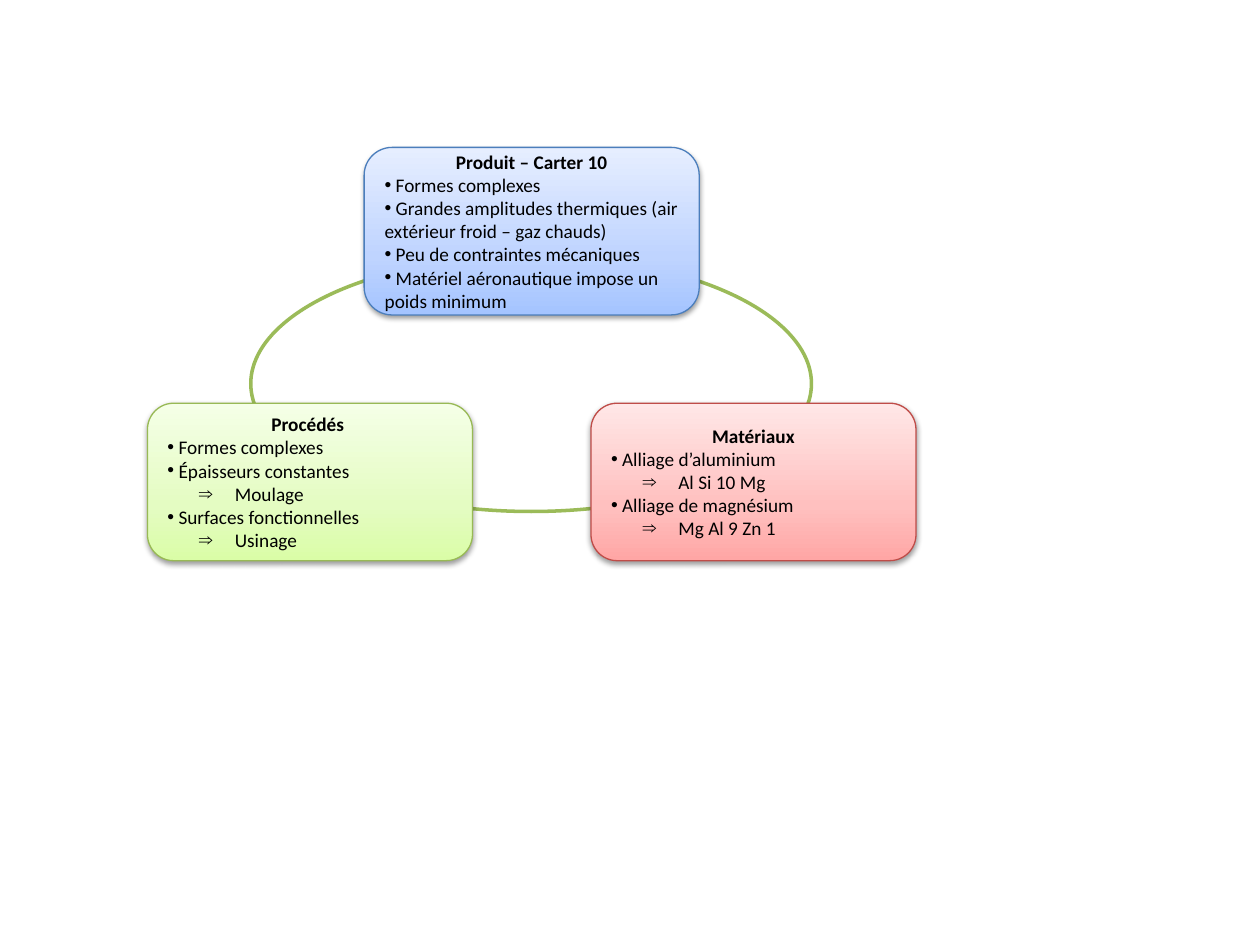
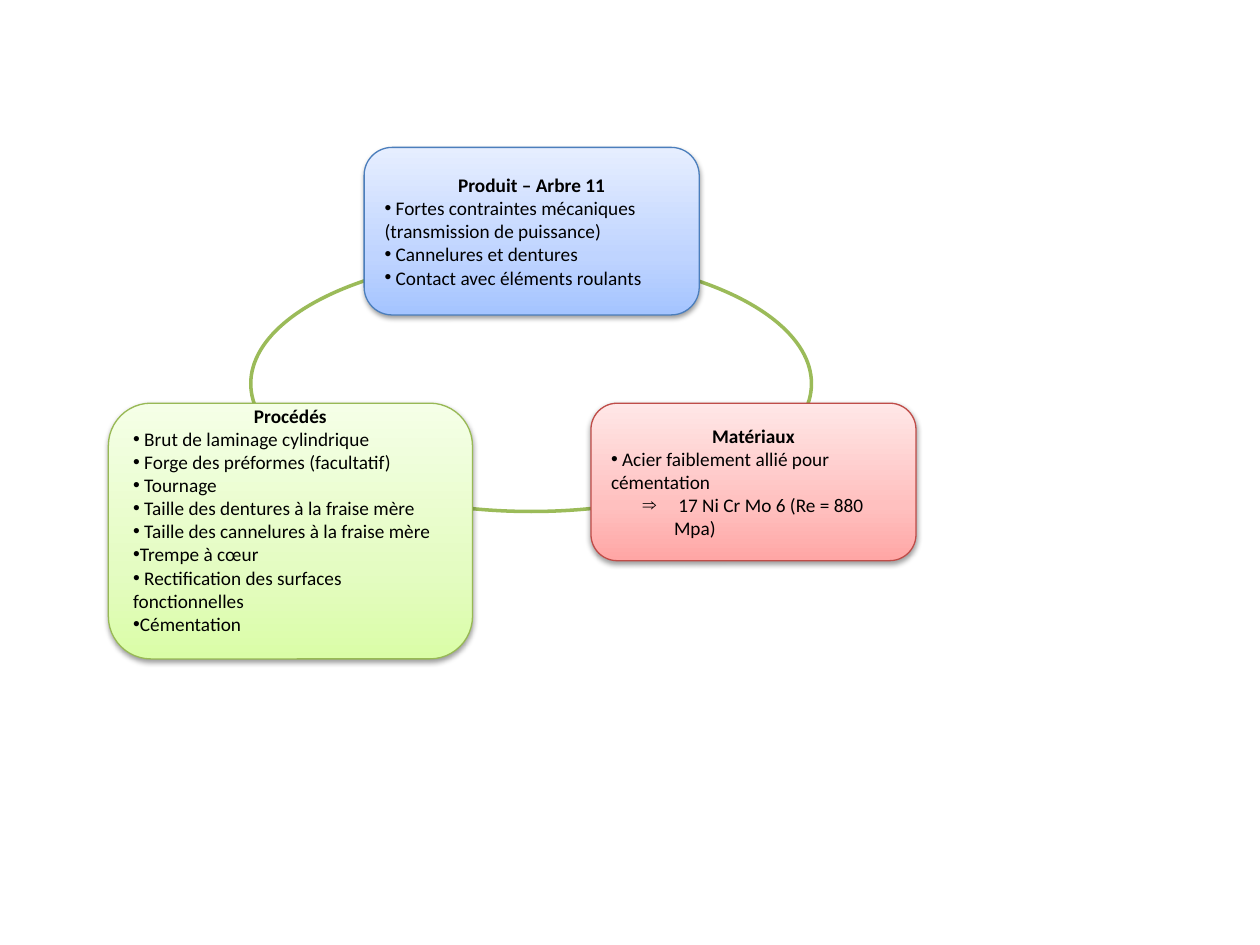
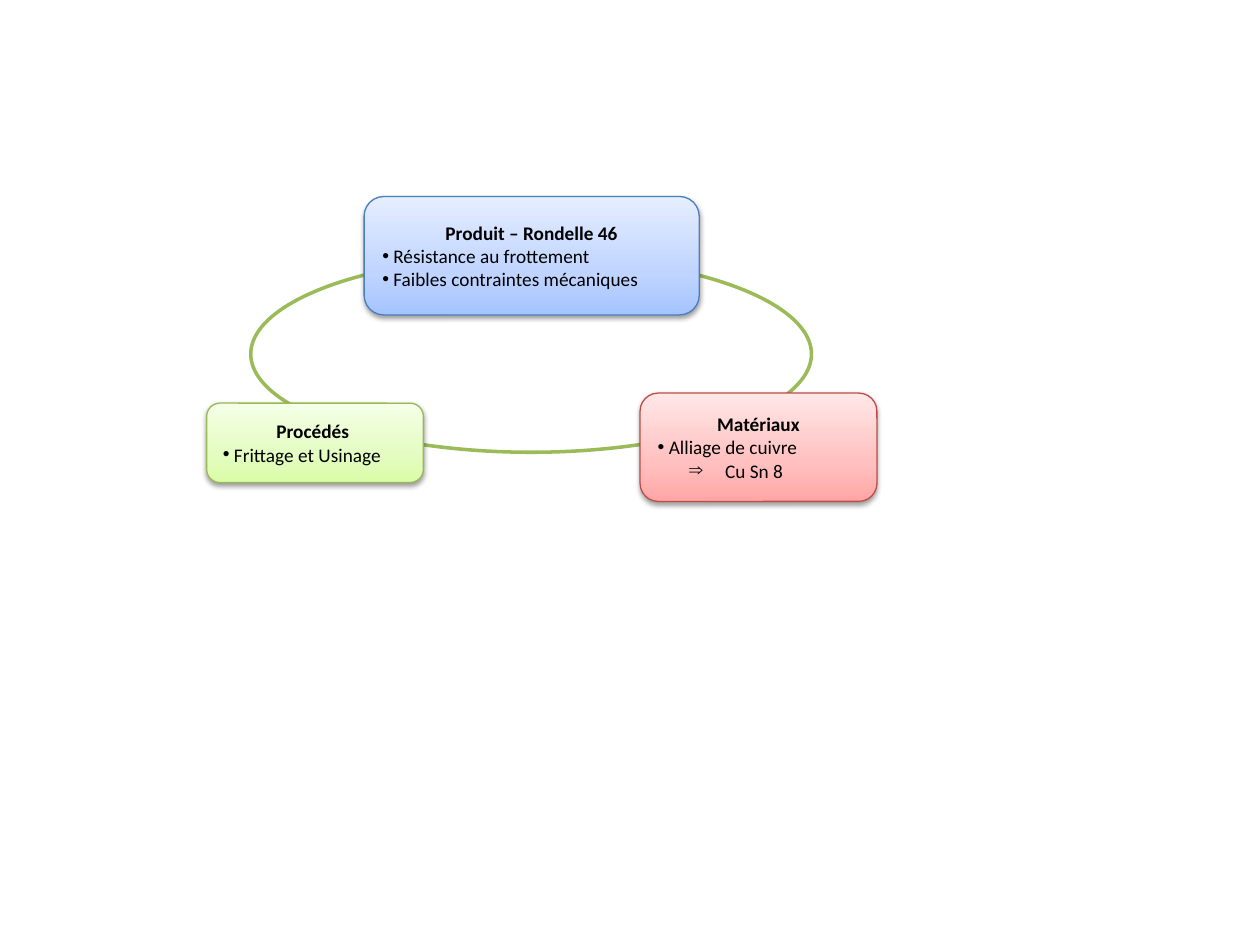
from lxml import etree
from pptx import Presentation
from pptx.dml.color import RGBColor
from pptx.enum.shapes import MSO_SHAPE
from pptx.enum.text import MSO_ANCHOR, PP_ALIGN
from pptx.oxml.ns import qn
from pptx.util import Inches, Pt

ELLIPSE = MSO_SHAPE.OVAL
ROUNDED = MSO_SHAPE.ROUNDED_RECTANGLE
MIDDLE = MSO_ANCHOR.MIDDLE
LEFT, CENTER = PP_ALIGN.LEFT, PP_ALIGN.CENTER

# Shared style
FONT, TEXT_SIZE, BLACK = "Calibri", 11, "000000"
CYCLE_GREEN = "9BBB59"
GRADIENT_POSITIONS = (0, 35, 100)
# Role: gradient from bottom to top, outline
PRODUCT = (("A4C4FF", "BFD4FF", "E6EEFF"), "4B7EBC")
MATERIALS = (("FFA6A5", "FFC0BF", "FFE7E7"), "BF4C48")
PROCESSES = (("DAFDA7", "E4FCC2", "F5FFE7"), "98B955")

DOT, ARROW = "•", "⇒"

# Cycle frame, then cards: role, frame, heading, items, extra bottom inset
SLIDES = [
    ((1.99, 2.03, 4.45, 2.03), [
        (PRODUCT, (2.89, 1.17, 2.66, 1.33), "Produit – Carter 10", [
            (DOT, " Formes complexes"),
            (DOT, " Grandes amplitudes thermiques (air extérieur froid – gaz chauds)"),
            (DOT, " Peu de contraintes mécaniques"),
            (DOT, " Matériel aéronautique impose un poids minimum")], 0),
        (MATERIALS, (4.69, 3.2, 2.58, 1.25), "Matériaux", [
            (DOT, " Alliage d’aluminium"),
            (ARROW, " Al Si 10 Mg"),
            (DOT, " Alliage de magnésium"),
            (ARROW, " Mg Al 9 Zn 1")], 0),
        (PROCESSES, (1.17, 3.2, 2.58, 1.25), "Procédés ", [
            (DOT, " Formes complexes"),
            (DOT, " Épaisseurs constantes"),
            (ARROW, " Moulage"),
            (DOT, " Surfaces fonctionnelles"),
            (ARROW, " Usinage")], 0),
    ]),
    ((1.99, 2.03, 4.45, 2.03), [
        (PRODUCT, (2.89, 1.17, 2.66, 1.33), "Produit – Arbre 11", [
            (DOT, " Fortes contraintes mécaniques (transmission de puissance)"),
            (DOT, " Cannelures et dentures"),
            (DOT, " Contact avec éléments roulants")], 0),
        (MATERIALS, (4.69, 3.2, 2.58, 1.25), "Matériaux", [
            (DOT, " Acier faiblement allié pour cémentation"),
            (ARROW, " 17 Ni Cr Mo 6 (Re = 880 Mpa)")], 0),
        (PROCESSES, (0.86, 3.2, 2.89, 2.03), "Procédés", [
            (DOT, " Brut de laminage cylindrique"),
            (DOT, " Forge des préformes (facultatif)"),
            (DOT, " Tournage"),
            (DOT, " Taille des dentures à la fraise mère"),
            (DOT, " Taille des cannelures à la fraise mère"),
            (DOT, "Trempe à cœur"),
            (DOT, " Rectification des surfaces fonctionnelles"),
            (DOT, "Cémentation")], 0.18),
    ]),
    ((1.99, 2.03, 4.45, 1.56), [
        (PRODUCT, (2.89, 1.56, 2.66, 0.94), "Produit – Rondelle 46", [
            (DOT, " Résistance au frottement"),
            (DOT, " Faibles contraintes mécaniques")], 0),
        (MATERIALS, (5.08, 3.12, 1.88, 0.86), "Matériaux", [
            (DOT, " Alliage de cuivre"),
            (ARROW, " Cu Sn 8")], 0),
        (PROCESSES, (1.64, 3.2, 1.72, 0.63), "Procédés ", [
            (DOT, " Frittage et Usinage")], 0),
    ]),
]


def rgb(color):
    return RGBColor.from_string(color)


def add_child(parent, tag, **attributes):
    child = etree.SubElement(parent, qn(tag))
    for key, value in attributes.items():
        child.set(key, str(value))
    return child


def add_outlined(slide, preset, frame, color, width):
    shape = slide.shapes.add_shape(preset, *map(Inches, frame))
    shape.shadow.inherit = False
    shape.line.color.rgb = rgb(color)
    shape.line.width = Pt(width)
    return shape


def add_cycle(slide, frame):
    add_outlined(slide, ELLIPSE, frame, CYCLE_GREEN, 2).fill.background()


def set_gradient(shape, colors):
    """Fill upwards with three colour stops."""
    shape.fill.gradient()
    shape.fill.gradient_angle = 90
    stops = shape._element.spPr.find(qn("a:gradFill")).find(qn("a:gsLst"))
    for stop in list(stops):
        stops.remove(stop)
    for position, color in zip(GRADIENT_POSITIONS, colors):
        stop = add_child(stops, "a:gs", pos=position * 1000)
        add_child(stop, "a:srgbClr", val=color)


def add_soft_shadow(shape):
    effects = shape._element.spPr.find(qn("a:effectLst"))
    shadow = add_child(effects, "a:outerShdw", blurRad=Pt(3.1), dist=Pt(1.6),
                       dir=90 * 60000, rotWithShape=0)
    add_child(add_child(shadow, "a:srgbClr", val=BLACK), "a:alpha", val=38000)


def write_text(paragraph, text, bold=False, align=LEFT, bullet=None):
    paragraph.alignment = align
    if bullet:
        properties = paragraph._p.get_or_add_pPr()
        if bullet == ARROW:
            paragraph.level = 1
            properties.set("marL", str(Inches(0.5)))
            properties.set("indent", str(Inches(-0.25)))
        add_child(properties, "a:buFont", typeface="Arial")
        add_child(properties, "a:buChar", char=bullet)
    run = paragraph.add_run()
    run.text = text
    run.font.name = FONT
    run.font.size = Pt(TEXT_SIZE)
    run.font.bold = bold
    run.font.color.rgb = rgb(BLACK)


def add_card(slide, role, frame, heading, items, extra_bottom):
    gradient, outline = role
    card = add_outlined(slide, ROUNDED, frame, outline, 0.75)
    set_gradient(card, gradient)
    add_soft_shadow(card)
    body = card.text_frame
    body.word_wrap = True
    body.vertical_anchor = MIDDLE
    body.margin_bottom = Inches(0.05 + extra_bottom)
    write_text(body.paragraphs[0], heading, bold=True, align=CENTER)
    for bullet, text in items:
        write_text(body.add_paragraph(), text, bullet=bullet)


def main():
    deck = Presentation()
    deck.slide_width, deck.slide_height = Inches(10), Inches(7.5)
    blank_layout = deck.slide_layouts[6]
    for cycle_frame, cards in SLIDES:
        slide = deck.slides.add_slide(blank_layout)
        add_cycle(slide, cycle_frame)
        for card in cards:
            add_card(slide, *card)
    deck.save("out.pptx")


if __name__ == "__main__":
    main()
